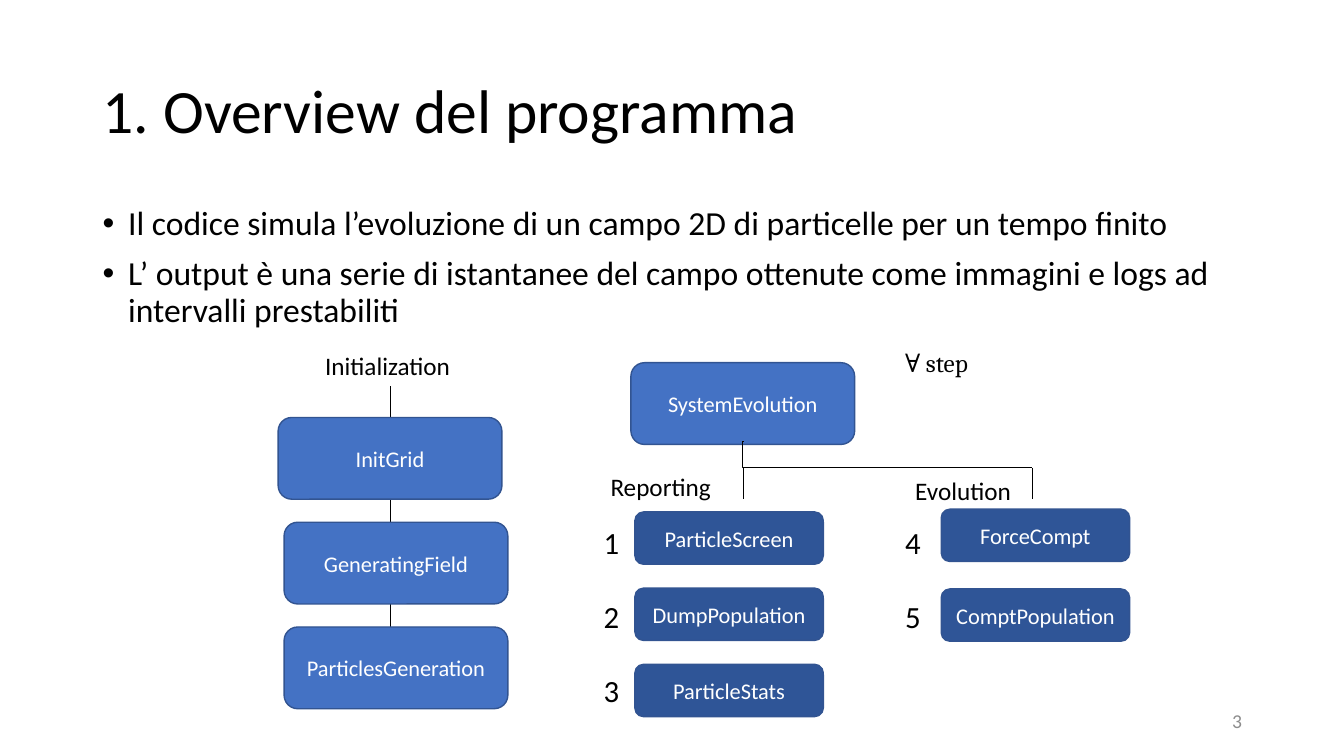
from lxml.etree import SubElement
from pptx import Presentation
from pptx.dml.color import RGBColor
from pptx.enum.shapes import MSO_CONNECTOR as Link, MSO_SHAPE as Shape
from pptx.enum.text import MSO_ANCHOR as Anchor, PP_ALIGN as Align
from pptx.oxml.ns import qn
from pptx.util import Cm, Pt

COLOURS = {
    "text": "000000",
    "light": "FFFFFF",
    "module": "4472C4",
    "task": "2F5597",
    "border": "325491",
    "number": "8C8C8C",
}


class Diagram:
    font = "Calibri"
    module_size = (5.64, 2.06)
    task_size = (4.75, 1.32)

    def __init__(self, slide):
        self.shapes = slide.shapes

    def colour(self, name):
        return RGBColor.from_string(COLOURS[name])

    def add_words(self, paragraph, words, size, colour="text", font=None):
        run = paragraph.add_run()
        run.text = words
        run.font.size = Pt(size)
        run.font.name = font or self.font
        run.font.color.rgb = self.colour(colour)

    def text(self, place, lines, size, align=Align.LEFT, anchor=Anchor.TOP,
             colour="text", font=None, spacing=1.0, gap=0, bullet=False):
        frame = self.shapes.add_textbox(*map(Cm, place)).text_frame
        frame.word_wrap = True
        frame.vertical_anchor = anchor
        for index, words in enumerate(lines):
            paragraph = frame.add_paragraph() if index else frame.paragraphs[0]
            paragraph.alignment = align
            paragraph.line_spacing = spacing
            if index:
                paragraph.space_before = Pt(gap)
            if bullet:
                props = paragraph._p.get_or_add_pPr()
                props.set("marL", str(Cm(0.64)))
                props.set("indent", str(-Cm(0.64)))
                SubElement(props, qn("a:buFont"), typeface="Arial")
                SubElement(props, qn("a:buChar"), char="•")
            self.add_words(paragraph, words, size, colour, font)

    def label(self, left, top, words):
        self.text((left, top, 4.7, 1.02), [words], 18, Align.CENTER, Anchor.MIDDLE)

    def box(self, left, top, words, size, fill):
        box = self.shapes.add_shape(
            Shape.ROUNDED_RECTANGLE, *map(Cm, (left, top, *size)))
        box.shadow.inherit = False
        box.fill.solid()
        box.fill.fore_color.rgb = self.colour(fill)
        box.line.color.rgb = self.colour("border")
        box.line.width = Pt(1)
        frame = box.text_frame
        frame.word_wrap = True
        frame.vertical_anchor = Anchor.MIDDLE
        frame.paragraphs[0].alignment = Align.CENTER
        self.add_words(frame.paragraphs[0], words, 16, "light")

    def module(self, left, top, words):
        self.box(left, top, words, self.module_size, "module")

    def tasks(self, left, top, step, names):
        for index, name in enumerate(names):
            self.box(left, top + index * step, name, self.task_size, "task")

    def line(self, start, end, kind=Link.STRAIGHT, bend=None):
        line = self.shapes.add_connector(kind, *map(Cm, (*start, *end)))
        line.line.color.rgb = self.colour("text")
        line.line.width = Pt(0.5)
        props = line._element.spPr
        SubElement(props, qn("a:effectLst"))
        if bend is not None:
            guides = props.find(qn("a:prstGeom")).find(qn("a:avLst"))
            SubElement(guides, qn("a:gd"), name="adj1", fmla=f"val {bend}")


def main():
    deck = Presentation()
    deck.slide_width, deck.slide_height = Cm(33.87), Cm(19.05)
    overview = Diagram(deck.slides.add_slide(deck.slide_layouts[6]))

    overview.line((9.83, 9.73), (9.83, 17.27))
    overview.text((2.34, 1.02, 29.21, 3.68), ["1. Overview del programma"], 44,
                  anchor=Anchor.MIDDLE, spacing=0.9)
    overview.text((2.34, 5.08, 29.21, 5.44), [
        "Il codice simula l’evoluzione di un campo 2D di particelle per un tempo finito",
        "L’ output è una serie di istantanee del campo ottenute come immagini e logs "
        "ad intervalli prestabiliti",
    ], 24, spacing=0.9, gap=10, bullet=True)

    overview.label(7.42, 8.71, "Initialization")
    initialization = [(7.01, "InitGrid"), (7.16, "GeneratingField"),
                      (7.16, "ParticlesGeneration")]
    for index, (left, name) in enumerate(initialization):
        overview.module(left, 10.52 + index * 2.64, name)

    overview.module(15.9, 9.14, "SystemEvolution")
    reporting_x, evolution_x, fork_y, tip_y = 18.73, 26.01, 11.79, 12.57
    overview.line((reporting_x, 11.13), (evolution_x, fork_y), Link.ELBOW, bend=-200)
    for branch_x in (reporting_x, evolution_x):
        overview.line((branch_x, fork_y), (branch_x, tip_y))

    overview.label(14.3, 11.76, "Reporting")
    overview.label(21.92, 11.86, "Evolution")
    overview.tasks(16, 12.9, 1.92, ["ParticleScreen", "DumpPopulation", "ParticleStats"])
    overview.tasks(23.72, 12.83, 2.01, ["ForceCompt", "ComptPopulation"])
    overview.text((14.96, 13.08, 1.02, 4.95), ["1", "2", "3"], 22, gap=26.5)
    overview.text((22.56, 13.06, 1.02, 3.07), ["4", "5"], 22, gap=26.5)
    overview.text((22.56, 8.64, 3.91, 1.02), ["∀ step"], 18, font="Cambria")
    overview.text((23.93, 17.65, 7.62, 1.02), ["3"], 14, Align.RIGHT,
                  Anchor.MIDDLE, "number")

    deck.save("out.pptx")


if __name__ == "__main__":
    main()
